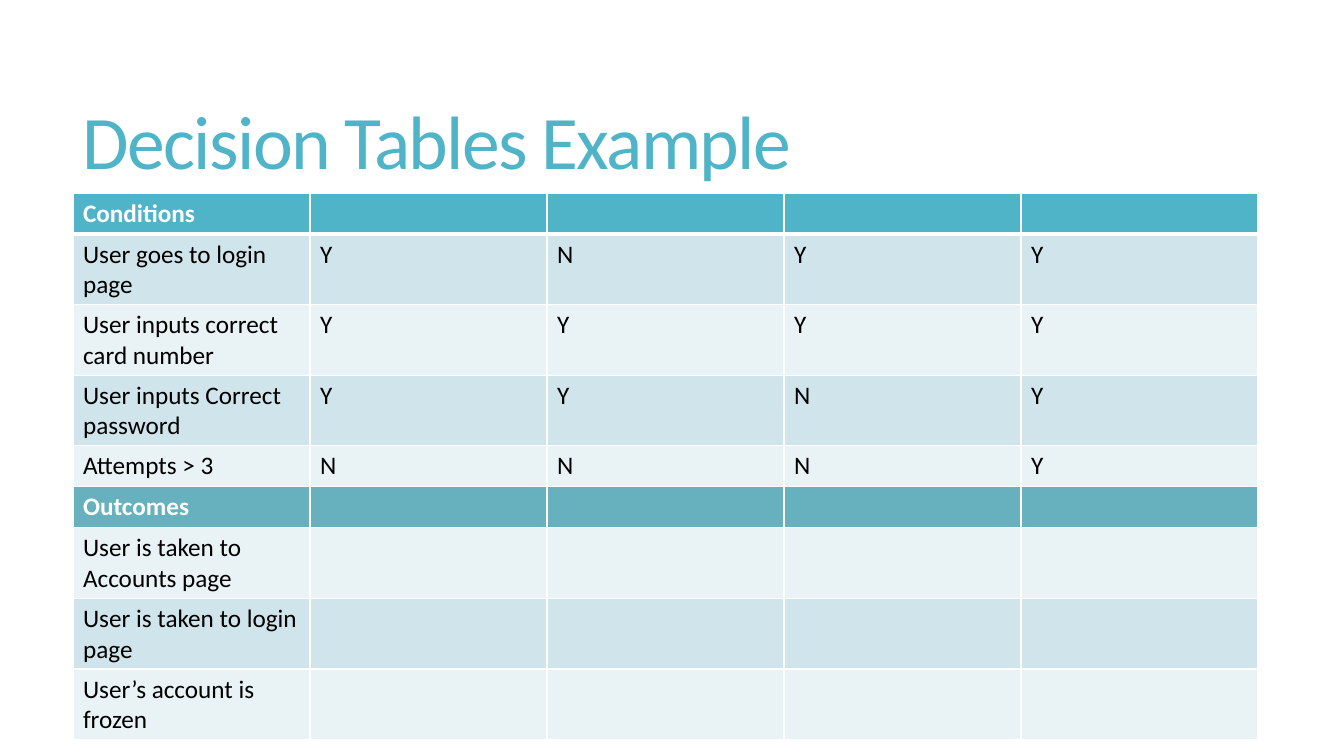
"""Build the decision table slide."""
from pptx import Presentation
from pptx.dml.color import RGBColor as RGB
from pptx.enum.text import MSO_ANCHOR as Anchor
from pptx.oxml import parse_xml
from pptx.oxml.ns import nsdecls
from pptx.util import Emu, Pt

PX = 914400 / 100.8
TEAL, HEAD, DARK, PALE = "50B4C8", "66B1BD", "D0E5EB", "E9F2F5"


def px(num):
    return Emu(round(num * PX))


def style(run, size, color, bold=False):
    font = run.font
    font.name, font.size, font.bold = "Calibri", Pt(size), bold
    font.color.rgb = RGB.from_string(color)


deck = Presentation()
deck.slide_width, deck.slide_height = px(1344), px(756)
slide = deck.slides.add_slide(deck.slide_layouts[6])

title = slide.shapes.add_textbox(px(73), px(55), px(1187), px(182))
frame = title.text_frame
frame.word_wrap = True
frame.vertical_anchor = Anchor.MIDDLE
frame.text = "Decision Tables Example"
para = frame.paragraphs[0]
para.line_spacing = 0.85
style(para.runs[0], 54, TEAL)
para.runs[0].font._element.set("spc", "-120")

rows = [
    ("Conditions", "", TEAL),
    ("User goes to login page", "YNYY", DARK),
    ("User inputs correct card number", "YYYY", PALE),
    ("User inputs Correct password", "YYNY", DARK),
    ("Attempts > 3", "NNNY", PALE),
    ("Outcomes", "", HEAD),
    ("User is taken to Accounts page", "", PALE),
    ("User is taken to login page", "", DARK),
    ("User’s account is frozen", "", PALE),
]
table = slide.shapes.add_table(
    len(rows), 5, px(73), px(193), px(1185), px(41 * len(rows))).table

for col in table.columns:
    col.width = px(237)

for r, (label, marks, fill) in enumerate(rows):
    table.rows[r].height = px(41)
    bold = fill in (TEAL, HEAD)
    for c, text in enumerate([label, *marks.ljust(4)]):
        cell = table.cell(r, c)
        cell.fill.solid()
        cell.fill.fore_color.rgb = RGB.from_string(fill)
        cell.text_frame.text = text.strip()
        para = cell.text_frame.paragraphs[0]
        para.font.size = Pt(18)
        for run in para.runs:
            style(run, 18, "FFFFFF" if bold else "000000", bold)
        props = cell._tc.get_or_add_tcPr()
        for n, side in enumerate("LRTB"):
            thick = (r, side) in ((0, "B"), (1, "T"))
            width = Pt(3 if thick else 1)
            props.insert(n, parse_xml(
                f'<a:ln{side} {nsdecls("a")} w="{width}"><a:solidFill>'
                f'<a:srgbClr val="FFFFFF"/></a:solidFill></a:ln{side}>'))

deck.save("out.pptx")
